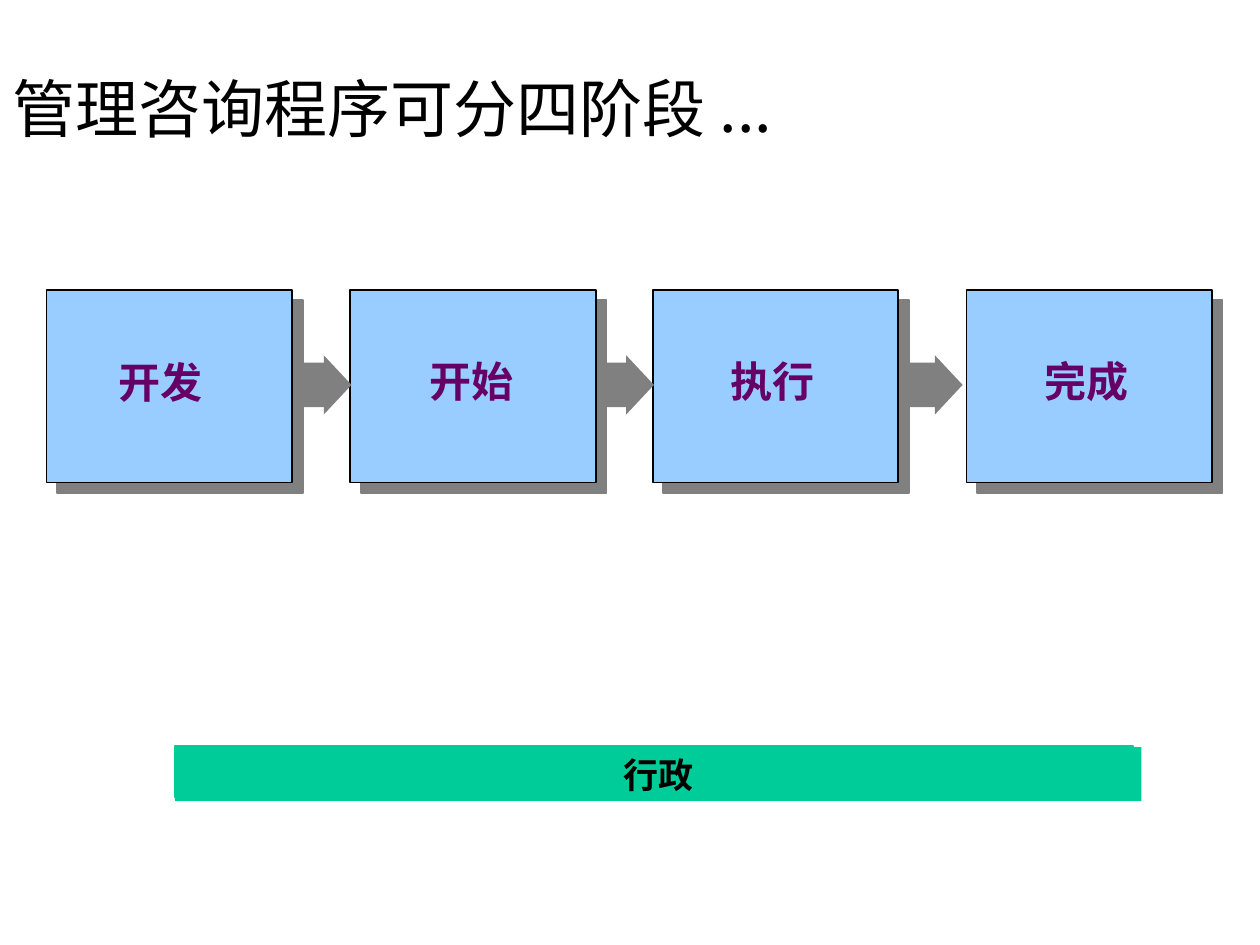
from typing import NamedTuple

from lxml import etree
from pptx import Presentation
from pptx.dml.color import RGBColor
from pptx.enum.shapes import MSO_SHAPE
from pptx.enum.text import MSO_ANCHOR, MSO_AUTO_SIZE, PP_ALIGN
from pptx.oxml.ns import qn
from pptx.util import Inches, Pt

RECT, ARROW = MSO_SHAPE.RECTANGLE, MSO_SHAPE.RIGHT_ARROW
TOP = MSO_ANCHOR.TOP
FIT_SHAPE, NO_FIT = MSO_AUTO_SIZE.SHAPE_TO_FIT_TEXT, MSO_AUTO_SIZE.NONE
LEFT, CENTER = PP_ALIGN.LEFT, PP_ALIGN.CENTER
FONT = "Noto Sans CJK SC"
BLUE, GREEN, GRAY, PURPLE, BLACK = "99CCFF", "00CC99", "808080", "660066", "000000"


class Stage(NamedTuple):
    text: str
    left: float
    label_left: float
    label_top: float


STAGES = [
    Stage("开发", 0.37, 0.84, 2.78),
    Stage("开始", 2.78, 3.31, 2.77),
    Stage("执行", 5.18, 5.7, 2.77),
    Stage("完成", 7.67, 8.19, 2.77),
]
ARROW_LEFTS = [2.35, 4.75, 7.2]


def color(value: str) -> RGBColor:
    return RGBColor.from_string(value)


def set_text(sp, text: str, size: float, fill: str = BLACK, bold: bool = False,
             align=LEFT, wrap: bool = True, fit=NO_FIT) -> None:
    tf = sp.text_frame
    tf.word_wrap = wrap
    tf.auto_size = fit
    tf.vertical_anchor = TOP
    p = tf.paragraphs[0]
    p.alignment = align
    r = p.add_run()
    r.text = text
    r.font.size = Pt(size)
    r.font.bold = bold
    r.font.name = FONT
    r.font.color.rgb = color(fill)
    # East Asian characters take their own typeface element
    etree.SubElement(r.font._element, qn("a:ea"), typeface=FONT)


def add_block(shapes, kind, left: float, top: float, width: float, height: float,
              fill: str, line: str | None = None):
    sp = shapes.add_shape(kind, Inches(left), Inches(top), Inches(width), Inches(height))
    sp.shadow.inherit = False
    sp.fill.solid()
    sp.fill.fore_color.rgb = color(fill)
    if line:
        sp.line.color.rgb = color(line)
        sp.line.width = Pt(1)
    else:
        sp.line.fill.background()
    return sp


def add_shadow(sp) -> None:
    effects = sp._element.spPr.find(qn("a:effectLst"))
    shadow = etree.SubElement(effects, qn("a:outerShdw"), dist=str(Pt(8.5)),
                              dir=str(45 * 60000), algn="ctr", rotWithShape="0")
    etree.SubElement(shadow, qn("a:srgbClr"), val=GRAY)


def add_label(shapes, stage: Stage) -> None:
    sp = shapes.add_textbox(Inches(stage.label_left), Inches(stage.label_top),
                            Inches(0.87), Inches(0.5))
    set_text(sp, stage.text, 24, fill=PURPLE, bold=True, wrap=False, fit=FIT_SHAPE)


def main() -> None:
    prs = Presentation()
    prs.slide_width, prs.slide_height = Inches(10), Inches(7.5)
    s = prs.slides.add_slide(prs.slide_layouts[5])

    # Title
    title = s.shapes.title
    title.left, title.top = Inches(0), Inches(0.5)
    title.width, title.height = Inches(7.5), Inches(1.25)
    set_text(title, "管理咨询程序可分四阶段 ...", 36)

    # Four stages with their labels
    for stage in STAGES:
        add_shadow(add_block(s.shapes, RECT, stage.left, 2.3, 1.95, 1.53, BLUE, BLACK))
    for stage in STAGES:
        add_label(s.shapes, stage)

    # Arrows between the stages
    for left in ARROW_LEFTS:
        arrow = add_block(s.shapes, ARROW, left, 2.82, 0.44, 0.47, GRAY)
        arrow.adjustments[0] = 0.75
        arrow.adjustments[1] = 0.5

    # Administration bar
    bar = s.shapes.add_group_shape()
    add_block(bar.shapes, RECT, 1.39, 5.92, 7.6, 0.41, GREEN, GREEN)
    front = add_block(bar.shapes, RECT, 1.39, 5.93, 7.67, 0.43, GREEN)
    set_text(front, "行政", 20, bold=True, align=CENTER, fit=FIT_SHAPE)

    prs.save("out.pptx")


if __name__ == "__main__":
    main()
